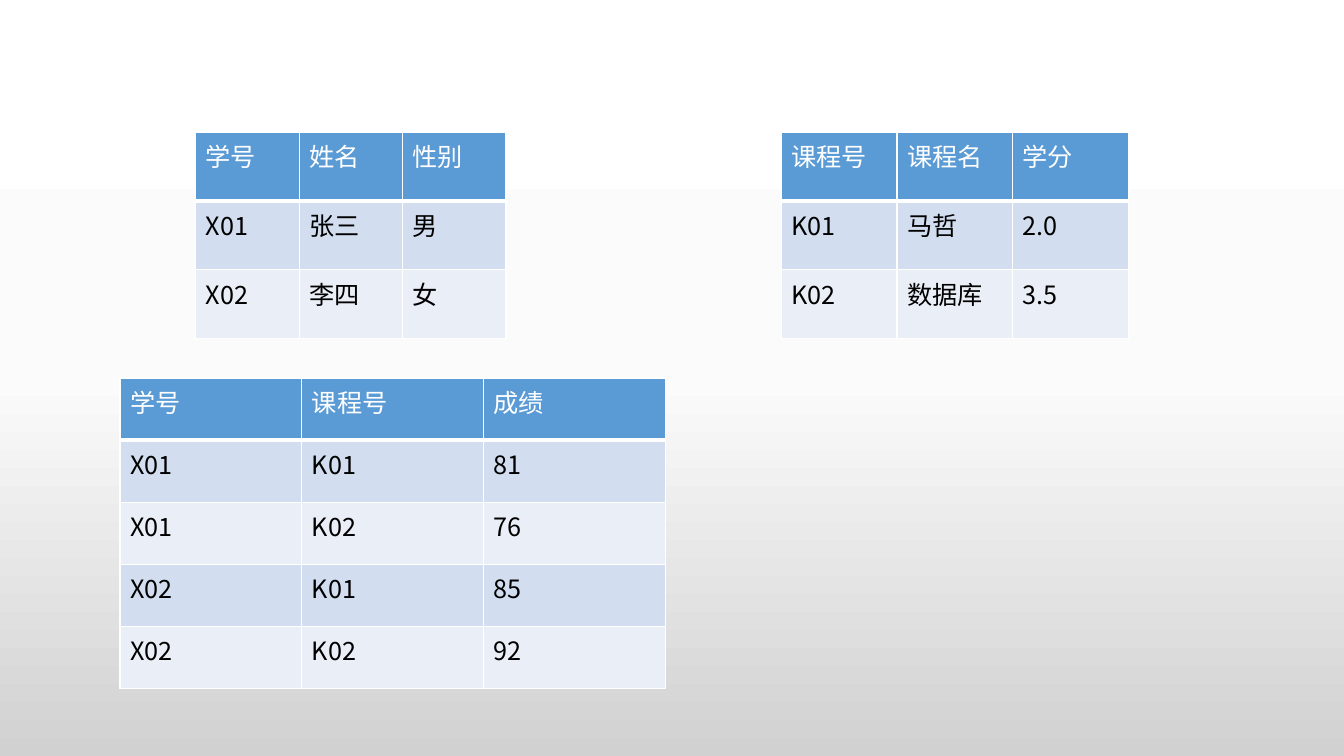
from copy import deepcopy

from lxml.etree import SubElement
from pptx import Presentation
from pptx.dml.color import RGBColor
from pptx.oxml.ns import qn
from pptx.util import Inches, Pt

WHITE = RGBColor(0xFF, 0xFF, 0xFF)
BLACK = RGBColor(0x00, 0x00, 0x00)
PALE = RGBColor(0xFB, 0xFB, 0xFB)
GRAY = RGBColor(0xD1, 0xD1, 0xD1)
HEADER = RGBColor(0x5B, 0x9B, 0xD5)
BANDS = (RGBColor(0xEA, 0xEF, 0xF7), RGBColor(0xD2, 0xDE, 0xEF))
FONT = "Noto Sans CJK SC"

# left, top, width, height, rows of text
TABLES = [
    (1.94, 1.31, 3.08, 2.05, [
        ("学号", "姓名", "性别"),
        ("X01", "张三", "男"),
        ("X02", "李四", "女"),
    ]),
    (7.75, 1.31, 3.44, 2.05, [
        ("课程号", "课程名", "学分"),
        ("K01", "马哲", "2.0"),
        ("K02", "数据库", "3.5"),
    ]),
    (1.19, 3.75, 5.41, 3.08, [
        ("学号", "课程号", "成绩"),
        ("X01", "K01", "81"),
        ("X01", "K02", "76"),
        ("X02", "K01", "85"),
        ("X02", "K02", "92"),
    ]),
]


def add_borders(cell, bottom):
    """Draw white lines on all four sides of a cell."""
    tcPr = cell._tc.get_or_add_tcPr()
    for side, width in (("L", 1), ("R", 1), ("T", 1), ("B", bottom)):
        ln = SubElement(tcPr, qn(f"a:ln{side}"), w=str(Pt(width)))
        fill = SubElement(ln, qn("a:solidFill"))
        SubElement(fill, qn("a:srgbClr"), val=str(WHITE))


prs = Presentation()
prs.slide_width, prs.slide_height = Inches(13.33), Inches(7.5)
s = prs.slides.add_slide(prs.slide_layouts[6])

# Background: white at the top to gray at the bottom
bg = s.background.fill
bg.gradient()
bg.gradient_angle = 270
stops = next(s._element.iter(qn("a:gsLst")))
stops.append(deepcopy(stops[0]))
for stop, position, color in zip(bg.gradient_stops, (0, 0.5, 1), (WHITE, PALE, GRAY)):
    stop.position = position
    stop.color.rgb = color

# Student, course and grade tables
for left, top, width, height, rows in TABLES:
    n_rows, n_cols = len(rows), len(rows[0])
    table = s.shapes.add_table(n_rows, n_cols, Inches(left), Inches(top),
                               Inches(width), Inches(height)).table
    for i, row in enumerate(rows):
        for j, text in enumerate(row):
            cell = table.cell(i, j)
            add_borders(cell, 3 if i == 0 else 1)
            cell.fill.solid()
            cell.fill.fore_color.rgb = BANDS[i % 2] if i else HEADER
            cell.text_frame.text = text
            r = cell.text_frame.paragraphs[0].runs[0]
            r.font.name = FONT
            r.font.size = Pt(18)
            r.font.bold = False
            r.font.color.rgb = BLACK if i else WHITE
            SubElement(r.font._element, qn("a:ea"), typeface=FONT)

prs.save("out.pptx")
